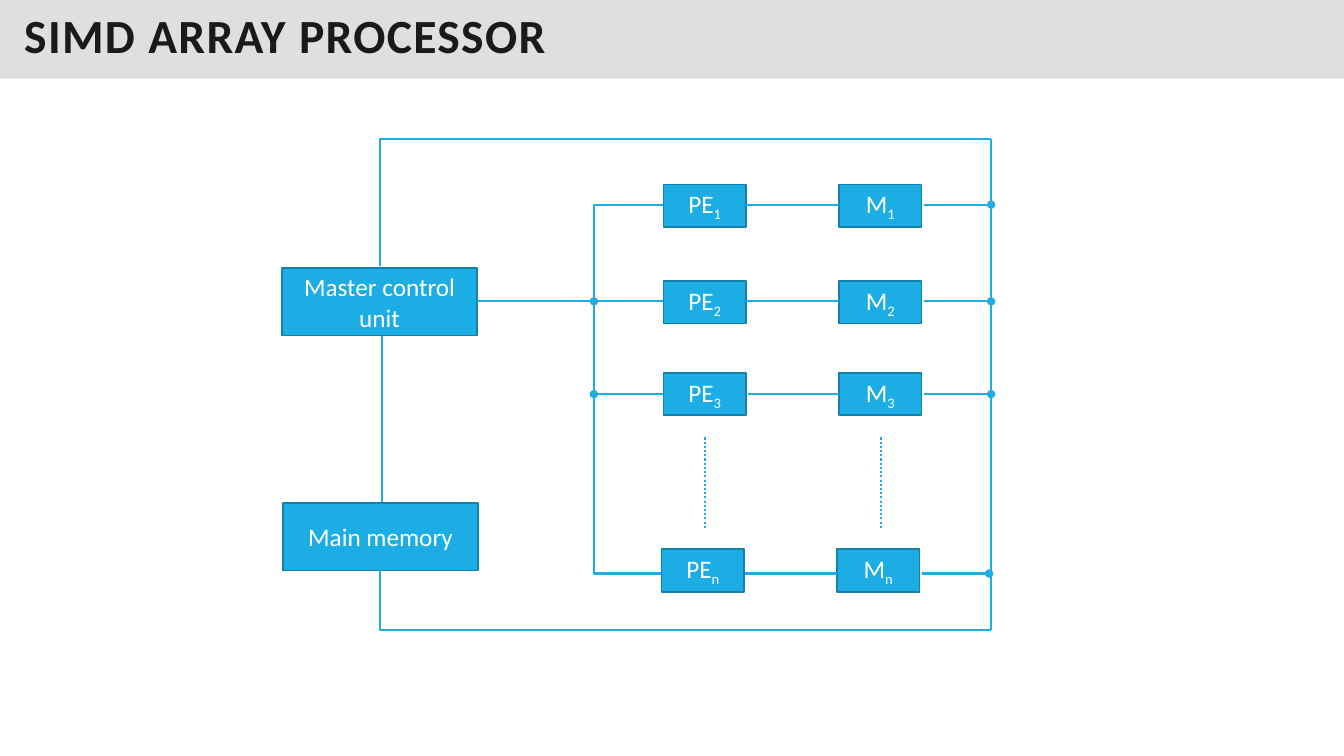
from pptx import Presentation
from pptx.dml.color import RGBColor
from pptx.enum.dml import MSO_LINE
from pptx.enum.shapes import MSO_CONNECTOR, MSO_SHAPE
from pptx.enum.text import MSO_ANCHOR, MSO_AUTO_SIZE, PP_ALIGN
from pptx.oxml.ns import qn
from pptx.util import Inches, Pt
from lxml import etree

COLORS = {"band": "C0C0C0", "title": "1A1A1A", "blue": "1CADE4",
          "edge": "1580A9", "white": "FFFFFF"}


def write(sp, text, sub="", size=18, color="white", bold=False,
          align=PP_ALIGN.CENTER, spacing=None):
    """Fill a shape with one paragraph, optionally ending in a subscript."""
    tf = sp.text_frame
    tf.word_wrap = True
    tf.auto_size = MSO_AUTO_SIZE.NONE
    tf.vertical_anchor = MSO_ANCHOR.MIDDLE
    p = tf.paragraphs[0]
    p.alignment = align
    p.line_spacing = spacing
    for part, base in ((text, None), (sub, "-25000")):
        if part:
            r = p.add_run()
            r.text = part
            r.font.name = "Calibri"
            r.font.size = Pt(size)
            r.font.bold = bold
            r.font.color.rgb = RGBColor.from_string(COLORS[color])
            if base:
                r.font._element.set("baseline", base)
    return p


def connect(x1, y1, x2, y2, dot=False, dash=None, bent=False):
    """Draw a line; a bent one leaves its start horizontally."""
    kind = MSO_CONNECTOR.ELBOW if bent else MSO_CONNECTOR.STRAIGHT
    c = s.shapes.add_connector(kind, Inches(x1), Inches(y1), Inches(x2), Inches(y2))
    c.line.color.rgb = RGBColor.from_string(COLORS["blue"])
    c.line.width = Pt(1.5)
    c.line.dash_style = dash
    spPr = c._element.spPr
    if bent:
        spPr.find(qn("a:prstGeom")).set("prst", "bentConnector2")
    if dot:
        etree.SubElement(c.line._get_or_add_ln(), qn("a:tailEnd"), type="oval")
    etree.SubElement(spPr, qn("a:effectLst"))


prs = Presentation()
prs.slide_width, prs.slide_height = Inches(13.33), Inches(7.5)
s = prs.slides.add_slide(prs.slide_layouts[5])

# Title band
title = s.shapes.title
title.left, title.top, title.width, title.height = 0, 0, prs.slide_width, Inches(0.78)
title.fill.solid()
title.fill.fore_color.rgb = RGBColor.from_string(COLORS["band"])
band = title._element.spPr.find(qn("a:solidFill"))[0]
etree.SubElement(band, qn("a:alpha"), val="50000")
tf = title.text_frame
tf.margin_left = tf.margin_right = Inches(0.24)
tf.margin_top = tf.margin_bottom = Inches(0.12)
p = write(title, "SIMD ARRAY PROCESSOR", size=34, color="title", bold=True,
          align=PP_ALIGN.LEFT, spacing=0.8)
p.runs[0].font._element.set("spc", "100")

# Control unit, memory, and one processing element and memory per row
boxes = [(2.8, 2.66, 1.93, 0.67, "Master control unit", ""),
         (2.81, 4.99, 1.93, 0.67, "Main memory", "")]
for sub, top, shift in (("1", 1.83, 0), ("2", 2.79, 0), ("3", 3.7, 0), ("n", 5.45, 0.02)):
    boxes += [(6.58 - shift, top, 0.82, 0.42, "PE", sub),
              (8.32 - shift, top, 0.82, 0.42, "M", sub)]
for x, y, w, h, text, sub in boxes:
    sp = s.shapes.add_shape(MSO_SHAPE.RECTANGLE, Inches(x), Inches(y), Inches(w), Inches(h))
    sp.shadow.inherit = False
    sp.fill.solid()
    sp.fill.fore_color.rgb = RGBColor.from_string(COLORS["blue"])
    sp.line.color.rgb = RGBColor.from_string(COLORS["edge"])
    sp.line.width = Pt(1.25)
    write(sp, text, sub)

# Row links: element to memory, memory to the bus on the right
bus_left, bus_right = 5.89, 9.83
for y, start, shift in ((2.03, 7.4, 0), (2.99, 7.4, 0), (3.91, 7.42, 0), (5.69, 7.41, 0.02)):
    connect(start - shift, y, 8.32 - shift, y)
    connect(9.16 - shift, y, bus_right - shift, y, dot=True)

# Left bus and its branches
connect(4.73, 2.99, 6.58, 2.99)
connect(bus_left, 5.69, bus_left, 2.99, dot=True)
connect(6.58, 3.91, bus_left, 3.91, dot=True)
connect(bus_left, 5.69, 6.56, 5.69)
connect(6.58, 2.03, bus_left, 2.99, bent=True)

# Right bus and the loop back to control unit and memory
connect(3.79, 3.33, 3.79, 4.98)
connect(bus_right, 1.38, bus_right, 6.25)
connect(bus_right, 1.38, 3.77, 2.64, bent=True)
connect(bus_right, 6.25, 3.77, 5.66, bent=True)

# Rows left out
for x in (6.99, 8.74):
    connect(x, 4.34, x, 5.24, dash=MSO_LINE.ROUND_DOT)

prs.save("out.pptx")
